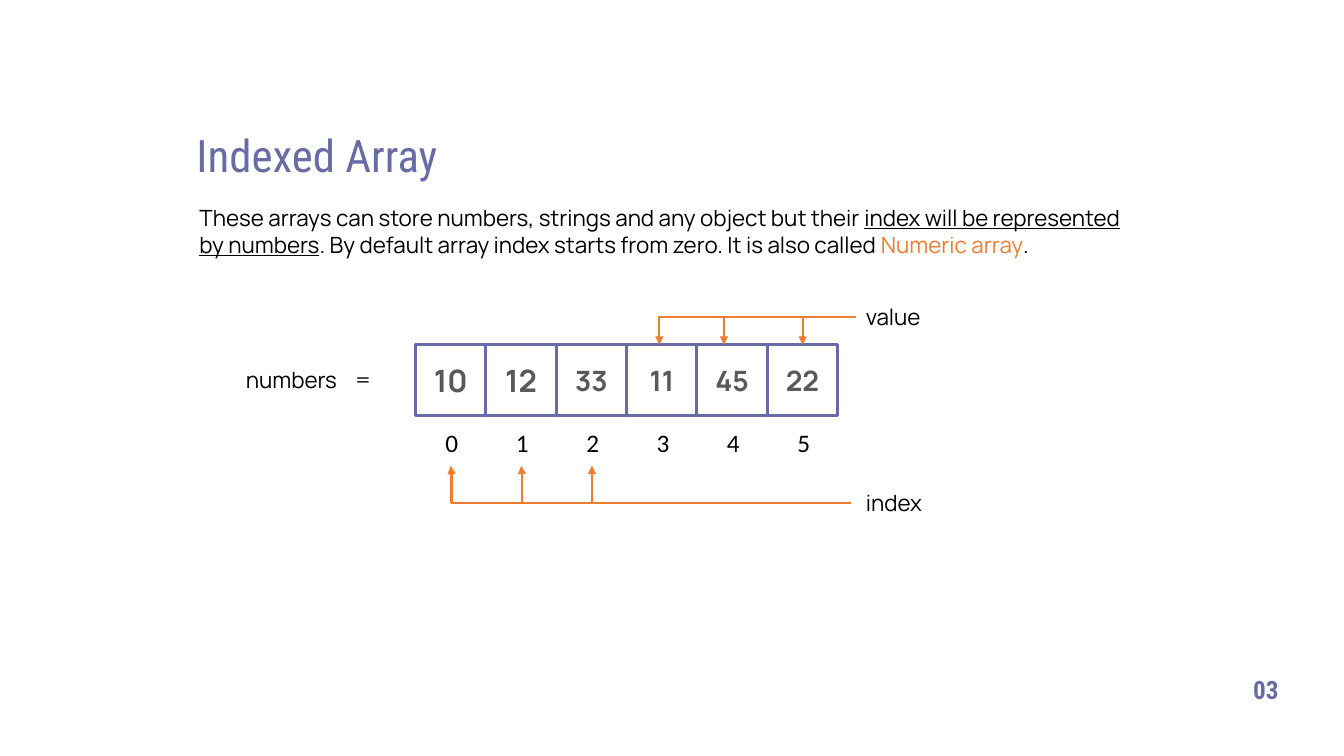
"""Build the slide that explains an indexed array with its values and indexes."""
import pptx
import pptx.dml.color
import pptx.enum.shapes
import pptx.enum.text
import pptx.oxml
import pptx.oxml.ns
import pptx.util
from pptx.util import Inches

COLORS = {
    "purple": "686BA6",
    "orange": "ED7D31",
    "gray": "595959",
    "black": "000000",
    "white": "FFFFFF",
}
RGB = {name: pptx.dml.color.RGBColor.from_string(value) for name, value in COLORS.items()}
NAMESPACE = pptx.oxml.ns.nsdecls("a")


def add_text(left, top, width, height, text, size, font="Manrope", color="black", bold=False):
    box = page.shapes.add_textbox(Inches(left), Inches(top), Inches(width), Inches(height))
    box.text_frame.word_wrap = True
    box.text_frame.auto_size = pptx.enum.text.MSO_AUTO_SIZE.SHAPE_TO_FIT_TEXT
    para = box.text_frame.paragraphs[0]
    para.text = text
    para.font.name = font
    para.font.size = pptx.util.Pt(size)
    para.font.bold = bold
    para.font.color.rgb = RGB[color]
    return para


def add_bent_arrow(start_x, start_y, tip_x, tip_y, preset):
    arrow = page.shapes.add_connector(
        pptx.enum.shapes.MSO_CONNECTOR.ELBOW,
        Inches(tip_x), Inches(tip_y), Inches(start_x), Inches(start_y))
    arrow.line.color.rgb = RGB["orange"]
    arrow.line.width = pptx.util.Pt(1.5)
    properties = arrow._element.spPr
    properties.find(pptx.oxml.ns.qn("a:xfrm")).set("rot", "10800000")
    geometry = properties.find(pptx.oxml.ns.qn("a:prstGeom"))
    geometry.set("prst", preset)
    if preset == "bentConnector3":
        bend = pptx.oxml.parse_xml(f'<a:gd {NAMESPACE} name="adj1" fmla="val 99800"/>')
        geometry.find(pptx.oxml.ns.qn("a:avLst")).append(bend)
    head = pptx.oxml.parse_xml(f'<a:tailEnd {NAMESPACE} type="triangle"/>')
    properties.find(pptx.oxml.ns.qn("a:ln")).append(head)
    properties.append(pptx.oxml.parse_xml(f'<a:effectLst {NAMESPACE}/>'))


deck = pptx.Presentation()
deck.slide_width = Inches(13.33)
deck.slide_height = Inches(7.5)
page = deck.slides.add_slide(deck.slide_layouts[6])

add_text(1.85, 1.22, 4.55, 0.64, "Indexed Array", 32, "Roboto Condensed", "purple")

description = add_text(1.88, 1.98, 9.48, 0.64, "", 16)
for text, color, underline in [
    ("These arrays can store numbers, strings and any object but their ", "black", False),
    ("index will be represented by numbers", "black", True),
    (". By default array index starts from zero. It is also called ", "black", False),
    ("Numeric array", "orange", False),
    (".", "black", False),
]:
    span = description.add_run()
    span.text = text
    span.font.color.rgb = RGB[color]
    span.font.underline = underline

add_text(12.33, 6.64, 0.48, 0.4, "03", 18, "Roboto Condensed", "purple", True)

values = [("10", 22), ("12", 22), ("33", 20), ("11", 20), ("45", 20), ("22", 20)]
cell_size = 0.7
cells_left = 4.12
cells_top = 3.42
cell_pitch = (7.61 - cells_left) / (len(values) - 1)
for index, (value, size) in enumerate(values):
    left = cells_left + index * cell_pitch
    cell = page.shapes.add_shape(
        pptx.enum.shapes.MSO_SHAPE.RECTANGLE,
        Inches(left), Inches(cells_top), Inches(cell_size), Inches(cell_size))
    cell.shadow.inherit = False
    cell.fill.solid()
    cell.fill.fore_color.rgb = RGB["white"]
    cell.line.color.rgb = RGB["purple"]
    cell.line.width = pptx.util.Pt(2.25)
    cell.text_frame.vertical_anchor = pptx.enum.text.MSO_ANCHOR.MIDDLE
    para = cell.text_frame.paragraphs[0]
    para.text = value
    para.alignment = pptx.enum.text.PP_ALIGN.CENTER
    para.font.name = "Manrope"
    para.font.size = pptx.util.Pt(size)
    para.font.bold = True
    para.font.color.rgb = RGB["gray"]
    add_text(left + 0.2, 4.19, 0.31, 0.4, str(index), 18, "Calibri")

variable = add_text(2.34, 3.58, 1.53, 0.37, "numbers\t=", 16)
tab_stops = pptx.oxml.parse_xml(
    f'<a:tabLst {NAMESPACE}><a:tab pos="{Inches(1.08)}" algn="l"/></a:tabLst>')
variable._p.get_or_add_pPr().insert(0, tab_stops)

for start_x, tip_x in [(8.44, 4.47), (8.12, 5.17), (6.62, 5.87)]:
    add_bent_arrow(start_x, 4.99, tip_x, 4.62, "bentConnector3")
add_text(8.49, 4.8, 0.86, 0.37, "index", 16)

for start_x, tip_x, preset in [
    (8.49, 7.96, "bentConnector3"),
    (8.4, 7.18, "bentConnector2"),
    (7.75, 6.54, "bentConnector2"),
]:
    add_bent_arrow(start_x, 3.14, tip_x, cells_top, preset)
add_text(8.49, 2.96, 0.86, 0.37, "value", 16)

deck.save("out.pptx")
